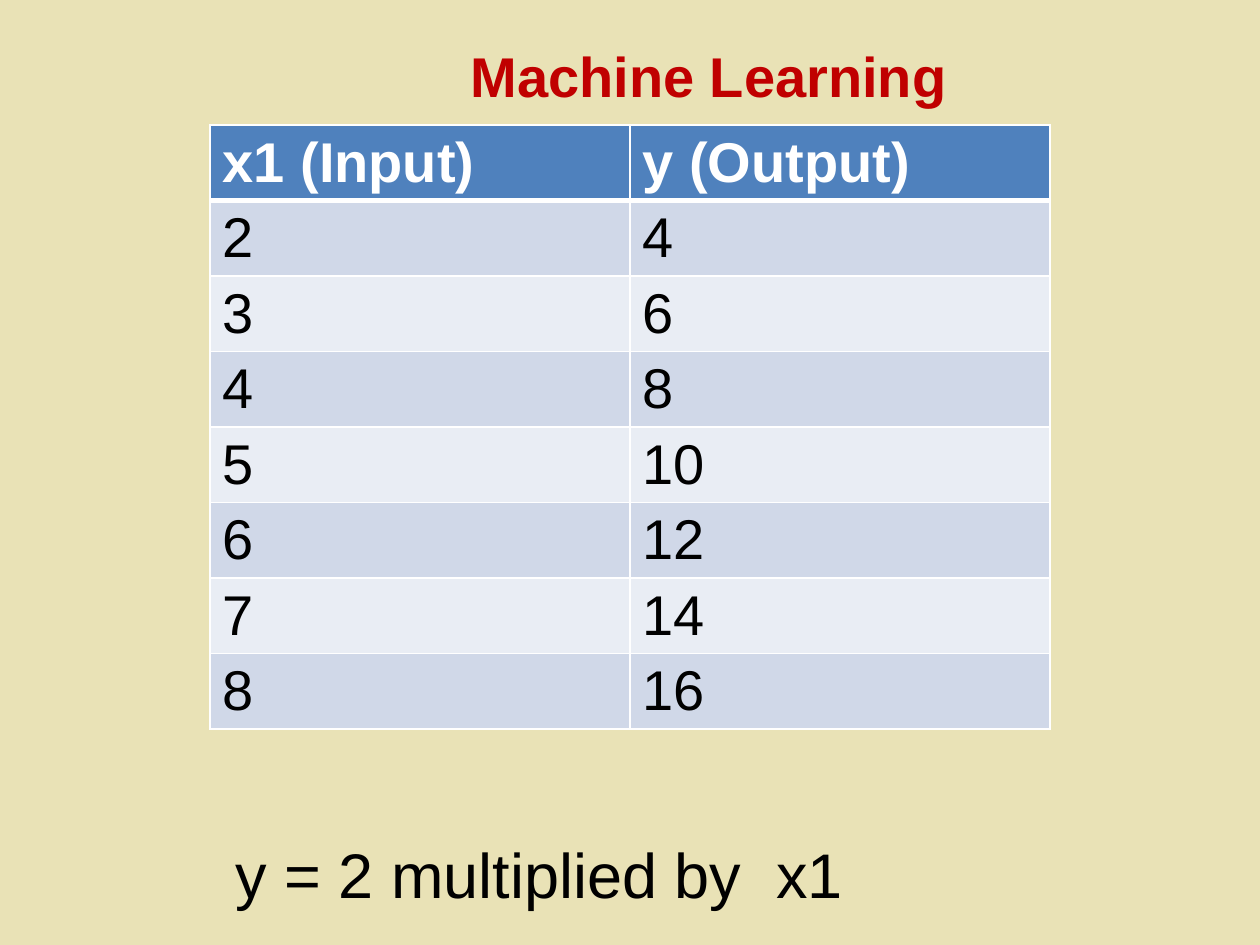
import pptx
import pptx.util
import pptx.dml.color
import pptx.enum.text
import pptx.oxml
import pptx.oxml.ns
from dataclasses import dataclass

Pt = pptx.util.Pt
Enum = pptx.enum.text


@dataclass(frozen=True)
class Theme:
    font: str = "Arial"
    paper: str = "E9E2B6"
    title: str = "C00000"
    ink: str = "000000"
    white: str = "FFFFFF"
    head: str = "4F81BD"
    bands: tuple = ("D0D8E8", "E9EDF4")
    body_size: int = 32
    note_size: int = 36


def color(code):
    return pptx.dml.color.RGBColor.from_string(code)


class Deck:
    def __init__(self, theme, width, height):
        self.theme = theme
        self.file = pptx.Presentation()
        self.file.slide_width, self.file.slide_height = Pt(width), Pt(height)
        self.slide = None

    def page(self):
        self.slide = self.file.slides.add_slide(self.file.slide_layouts[5])
        fill = self.slide.background.fill
        fill.solid()
        fill.fore_color.rgb = color(self.theme.paper)

    def label(self, frame, text, size, ink, bold=False):
        frame.text = text
        for run in frame.paragraphs[0].runs:
            font = run.font
            font.name, font.size, font.bold = self.theme.font, Pt(size), bold
            font.color.rgb = color(ink)

    def title(self, text, left, top, width, height):
        shape = self.slide.shapes.title
        shape.left, shape.top = Pt(left), Pt(top)
        shape.width, shape.height = Pt(width), Pt(height)
        frame = shape.text_frame
        self.label(frame, text, self.theme.body_size, self.theme.title, True)
        frame.auto_size = Enum.MSO_AUTO_SIZE.NONE
        frame.vertical_anchor = Enum.MSO_ANCHOR.MIDDLE
        frame.paragraphs[0].alignment = Enum.PP_ALIGN.CENTER

    def note(self, text, left, top, width, height):
        box = self.slide.shapes.add_textbox(Pt(left), Pt(top), Pt(width), Pt(height))
        frame = box.text_frame
        frame.word_wrap = True
        frame.auto_size = Enum.MSO_AUTO_SIZE.SHAPE_TO_FIT_TEXT
        self.label(frame, text, self.theme.note_size, self.theme.ink)

    def border(self, cell, sides):
        props = cell._tc.get_or_add_tcPr()
        for side, width in sides.items():
            props.append(pptx.oxml.parse_xml(
                f'<a:ln{side} {pptx.oxml.ns.nsdecls("a")} w="{Pt(width)}"><a:solidFill>'
                f'<a:srgbClr val="{self.theme.white}"/></a:solidFill></a:ln{side}>'))

    def table(self, rows, left, top, width, step):
        theme = self.theme
        grid = self.slide.shapes.add_table(
            len(rows), len(rows[0]), Pt(left), Pt(top), Pt(width), Pt(step * len(rows))).table
        for r, row in enumerate(rows):
            grid.rows[r].height = Pt(step)
            head = r == 0
            for c, text in enumerate(row):
                cell = grid.cell(r, c)
                # A thick rule parts the header from the body
                self.border(cell, {"L": 1, "R": 1, "T": 3 if r == 1 else 1, "B": 3 if head else 1})
                cell.fill.solid()
                cell.fill.fore_color.rgb = color(theme.head if head else theme.bands[(r - 1) % 2])
                self.label(cell.text_frame, str(text), theme.body_size,
                           theme.white if head else theme.ink, head)


def main():
    deck = Deck(Theme(), 720, 540)
    deck.page()

    # Heading
    deck.title("Machine Learning", 108, -2, 594, 90)

    # Sample data: each output is twice its input
    pairs = [(x, 2 * x) for x in range(2, 9)]
    deck.table([("x1 (Input)", "y (Output)"), *pairs], 120, 71.5, 480, 43.15)

    # Learned rule
    deck.note("y = 2 multiplied by  x1", 127.5, 474, 510.5, 51)

    deck.file.save("out.pptx")


if __name__ == "__main__":
    main()
